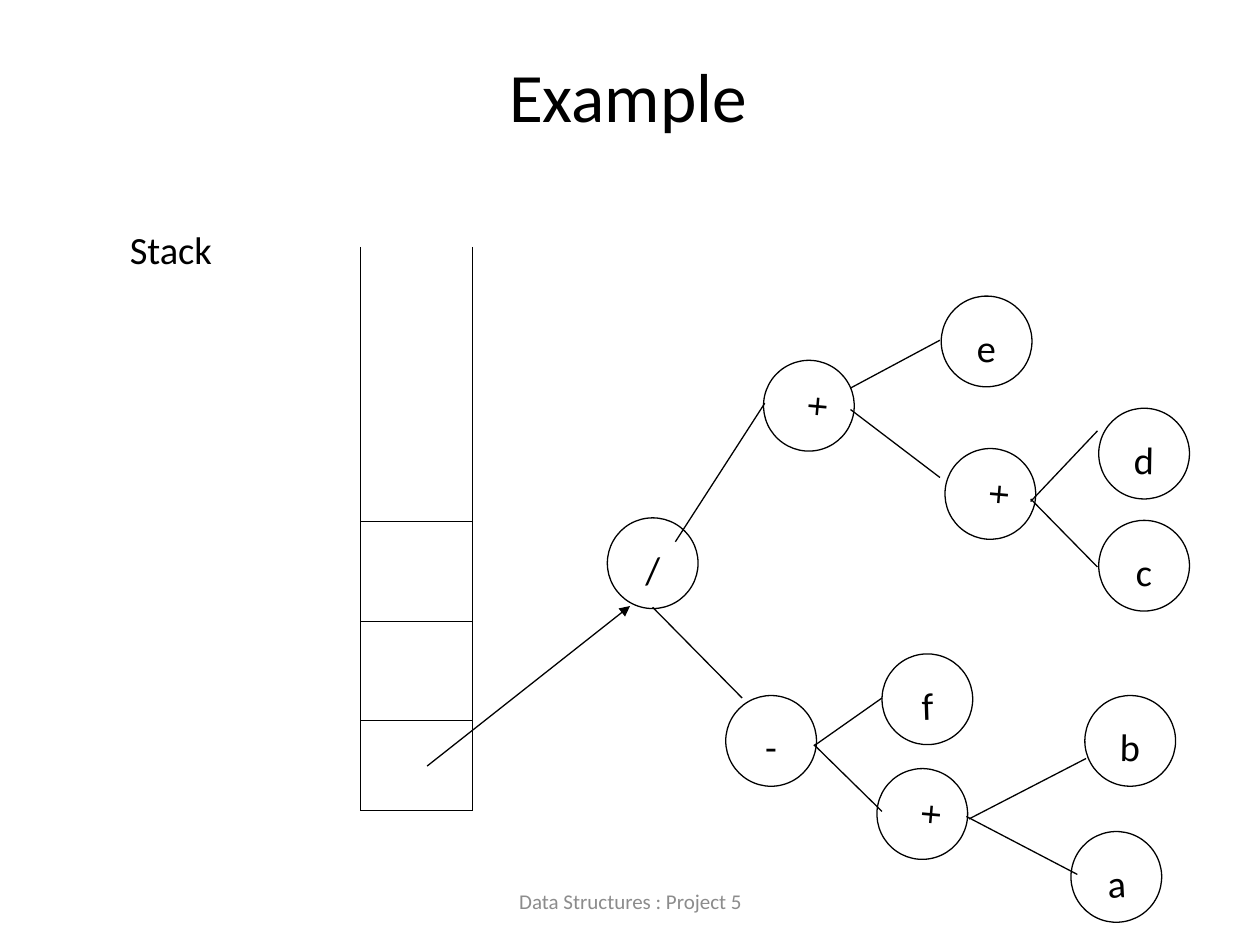
"""Build the expression tree example slide with its stack."""
from lxml import etree
from pptx import Presentation
from pptx.dml.color import RGBColor
from pptx.enum.shapes import MSO_CONNECTOR, MSO_SHAPE
from pptx.enum.text import MSO_ANCHOR, PP_ALIGN
from pptx.oxml.ns import qn
from pptx.util import Inches, Pt

BLACK = RGBColor(0x00, 0x00, 0x00)
GRAY = RGBColor(0x8C, 0x8C, 0x8C)
STRAIGHT = MSO_CONNECTOR.STRAIGHT
OVAL = MSO_SHAPE.OVAL
TOP, MIDDLE = MSO_ANCHOR.TOP, MSO_ANCHOR.MIDDLE
LEFT, CENTER = PP_ALIGN.LEFT, PP_ALIGN.CENTER
FONT = "Calibri"
SPACING = 1.24
NODE_SIZE = 0.72

TEXTS = [
    ("Data Structures : Project 5", (3.42, 6.95, 3.17, 0.4), 12, GRAY, MIDDLE, CENTER, 1, (0.1, 0.05)),
    ("Example", (0.5, 0.3, 8.97, 0.75), 39.6, BLACK, MIDDLE, CENTER, SPACING, (0.1, 0.05)),
    ("Stack", (0.89, 1.61, 1.06, 0.65), 22, BLACK, TOP, LEFT, SPACING, (0.14, 0.1)),
]

STACK_LEFT, STACK_RIGHT = 2.86, 3.75
STACK_TOP, STACK_BOTTOM = 1.96, 6.43
STACK_RULES = [4.14, 4.93, 5.72, STACK_BOTTOM]
POINTER = (3.39, 6.08, 5, 4.81)

NODES = [
    ("/", 5.18, 4.47, 0), ("+", 6.42, 3.22, 275), ("e", 7.83, 2.71, 1),
    ("+", 7.86, 3.92, 275), ("d", 9.08, 3.6, 1), ("c", 9.08, 4.49, 1),
    ("-", 6.12, 5.88, 0), ("f", 7.36, 5.55, 358), ("+", 7.32, 6.46, 275),
    ("b", 8.97, 5.88, 1), ("a", 8.86, 6.96, 357),
]

BRANCHES = [
    (5.36, 4.3, 6.07, 3.2), (5.18, 4.82, 5.89, 5.54),
    (6.75, 3.08, 7.46, 2.7), (6.75, 3.25, 7.46, 3.79),
    (8.18, 3.98, 8.71, 3.42), (8.18, 3.96, 8.71, 4.5),
    (6.46, 5.92, 7, 5.54), (6.46, 5.91, 7, 6.44),
    (7.69, 6.5, 8.62, 6.02), (7.67, 6.48, 8.55, 6.94),
]


def write(sp, text, size, color, anchor, align, spacing, margins):
    tf = sp.text_frame
    tf.text = text
    tf.vertical_anchor = anchor
    tf.margin_left = tf.margin_right = Inches(margins[0])
    tf.margin_top = tf.margin_bottom = Inches(margins[1])
    p = tf.paragraphs[0]
    p.alignment = align
    p.line_spacing = spacing
    font = p.runs[0].font
    font.name, font.size = FONT, Pt(size)
    font.color.rgb = color
    return tf


def add_line(slide, ends, arrow=False):
    line = slide.shapes.add_connector(STRAIGHT, *map(Inches, ends))
    line.line.color.rgb = BLACK
    line.line.width = Pt(0.75)
    if arrow:
        etree.SubElement(line.line._get_or_add_ln(), qn("a:tailEnd"), type="triangle")
    etree.SubElement(line._element.spPr, qn("a:effectLst"))


def add_node(slide, text, x, y, rotation):
    half = NODE_SIZE / 2
    box = (x - half, y - half, NODE_SIZE, NODE_SIZE)
    sp = slide.shapes.add_shape(OVAL, *map(Inches, box))
    sp.rotation = rotation
    sp.shadow.inherit = False
    sp.fill.background()
    sp.line.color.rgb = BLACK
    sp.line.width = Pt(0.75)
    tf = write(sp, text, 22, BLACK, MIDDLE, CENTER, SPACING, (0.09, 0.04))
    tf.word_wrap = False


def main():
    prs = Presentation()
    prs.slide_width, prs.slide_height = Inches(10), Inches(7.5)
    slide = prs.slides.add_slide(prs.slide_layouts[6])
    for text, box, *style in TEXTS:
        sp = slide.shapes.add_textbox(*map(Inches, box))
        write(sp, text, *style).word_wrap = True
    for x in (STACK_LEFT, STACK_RIGHT):
        add_line(slide, (x, STACK_TOP, x, STACK_BOTTOM))
    for y in STACK_RULES:
        add_line(slide, (STACK_LEFT, y, STACK_RIGHT, y))
    for node in NODES:
        add_node(slide, *node)
    for ends in BRANCHES:
        add_line(slide, ends)
    add_line(slide, POINTER, arrow=True)
    prs.save("out.pptx")


if __name__ == "__main__":
    main()
